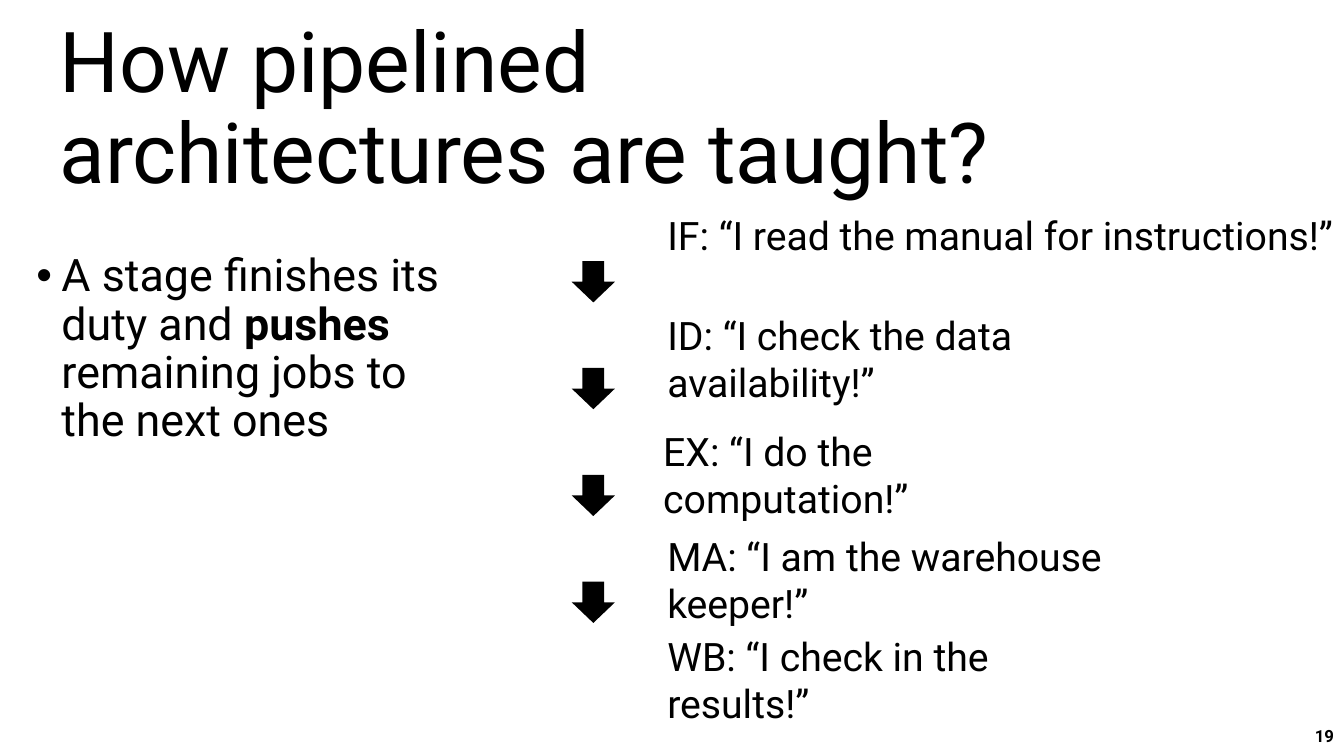
"""Build the slide on how pipelined architectures are taught."""
from dataclasses import dataclass

from lxml import etree
from pptx import Presentation
from pptx.dml.color import RGBColor
from pptx.enum import shapes, text
from pptx.oxml.ns import qn
from pptx.util import Inches, Pt

COLORS = {"ink": "000000"}
FONT = "Roboto"
ARROW_COUNT = 4
ARROW_TOP = 2.59
ARROW_PITCH = 1.06


@dataclass(frozen=True)
class Box:
    left: float
    top: float
    width: float
    height: float


@dataclass(frozen=True)
class Stage:
    label: str
    box: Box


STAGES = [
    Stage("IF: “I read the manual for instructions!”", Box(6.52, 2.05, 6.97, 0.57)),
    Stage("ID: “I check the data availability!”", Box(6.52, 3.04, 5.49, 0.57)),
    Stage("EX: “I do the computation!”", Box(6.48, 4.19, 4.6, 0.57)),
    Stage("MA: “I am the warehouse keeper!”", Box(6.52, 5.23, 5.76, 0.57)),
    Stage("WB: “I check in the results!”", Box(6.52, 6.22, 4.68, 0.57)),
]


def lengths(box: Box) -> tuple:
    return Inches(box.left), Inches(box.top), Inches(box.width), Inches(box.height)


def place(shape, box: Box) -> None:
    shape.left, shape.top, shape.width, shape.height = lengths(box)


def format_runs(paragraph, size: float, bold: bool = False) -> None:
    for run in paragraph.runs:
        run.font.name = FONT
        run.font.size = Pt(size)
        run.font.bold = bold
        run.font.color.rgb = RGBColor.from_string(COLORS["ink"])


def add_title(slide) -> None:
    title = slide.shapes.title
    place(title, Box(0.49, -0.02, 10.17, 2.24))
    frame = title.text_frame
    frame.text = "How pipelined architectures are taught?"
    frame.auto_size = text.MSO_AUTO_SIZE.NONE
    frame.vertical_anchor = text.MSO_ANCHOR.MIDDLE
    paragraph = frame.paragraphs[0]
    paragraph.alignment = text.PP_ALIGN.LEFT
    paragraph.line_spacing = 0.9
    format_runs(paragraph, 60)


def add_body(slide) -> None:
    body = slide.placeholders[1]
    place(body, Box(0.26, 2.46, 4.22, 2.24))
    frame = body.text_frame
    frame.auto_size = text.MSO_AUTO_SIZE.NONE
    paragraph = frame.paragraphs[0]
    paragraph.line_spacing = 0.9
    paragraph.space_before = Pt(0)
    properties = paragraph._p.get_or_add_pPr()
    properties.set("marL", str(Inches(0.25)))
    properties.set("indent", str(Inches(-0.25)))
    etree.SubElement(properties, qn("a:buFont")).set("typeface", "Arial")
    etree.SubElement(properties, qn("a:buChar")).set("char", "•")
    for words in ("A stage finishes its duty and ", "pushes ", "remaining jobs to the next ones"):
        paragraph.add_run().text = words
    format_runs(paragraph, 32)
    paragraph.runs[1].font.bold = True


def add_stage(slide, stage: Stage) -> None:
    frame = slide.shapes.add_textbox(*lengths(stage.box)).text_frame
    frame.text = stage.label
    frame.word_wrap = True
    frame.auto_size = text.MSO_AUTO_SIZE.SHAPE_TO_FIT_TEXT
    format_runs(frame.paragraphs[0], 28)


def add_arrow(slide, top: float) -> None:
    arrow = slide.shapes.add_shape(
        shapes.MSO_SHAPE.DOWN_ARROW, *lengths(Box(5.67, top, 0.43, 0.41))
    )
    arrow.shadow.inherit = False
    arrow.fill.solid()
    arrow.fill.fore_color.rgb = RGBColor.from_string(COLORS["ink"])
    arrow.line.fill.background()


def add_page_number(slide) -> None:
    frame = slide.shapes.add_textbox(*lengths(Box(10.33, 7.1, 3, 0.4))).text_frame
    frame.text = "19"
    frame.word_wrap = True
    frame.vertical_anchor = text.MSO_ANCHOR.MIDDLE
    frame.paragraphs[0].alignment = text.PP_ALIGN.RIGHT
    format_runs(frame.paragraphs[0], 12, bold=True)


def main() -> None:
    presentation = Presentation()
    presentation.slide_width = Inches(13.33)
    presentation.slide_height = Inches(7.5)
    slide = presentation.slides.add_slide(presentation.slide_layouts[1])
    add_title(slide)
    add_body(slide)
    add_page_number(slide)
    for stage in STAGES:
        add_stage(slide, stage)
    for index in range(ARROW_COUNT):
        add_arrow(slide, ARROW_TOP + index * ARROW_PITCH)
    presentation.save("out.pptx")


if __name__ == "__main__":
    main()
